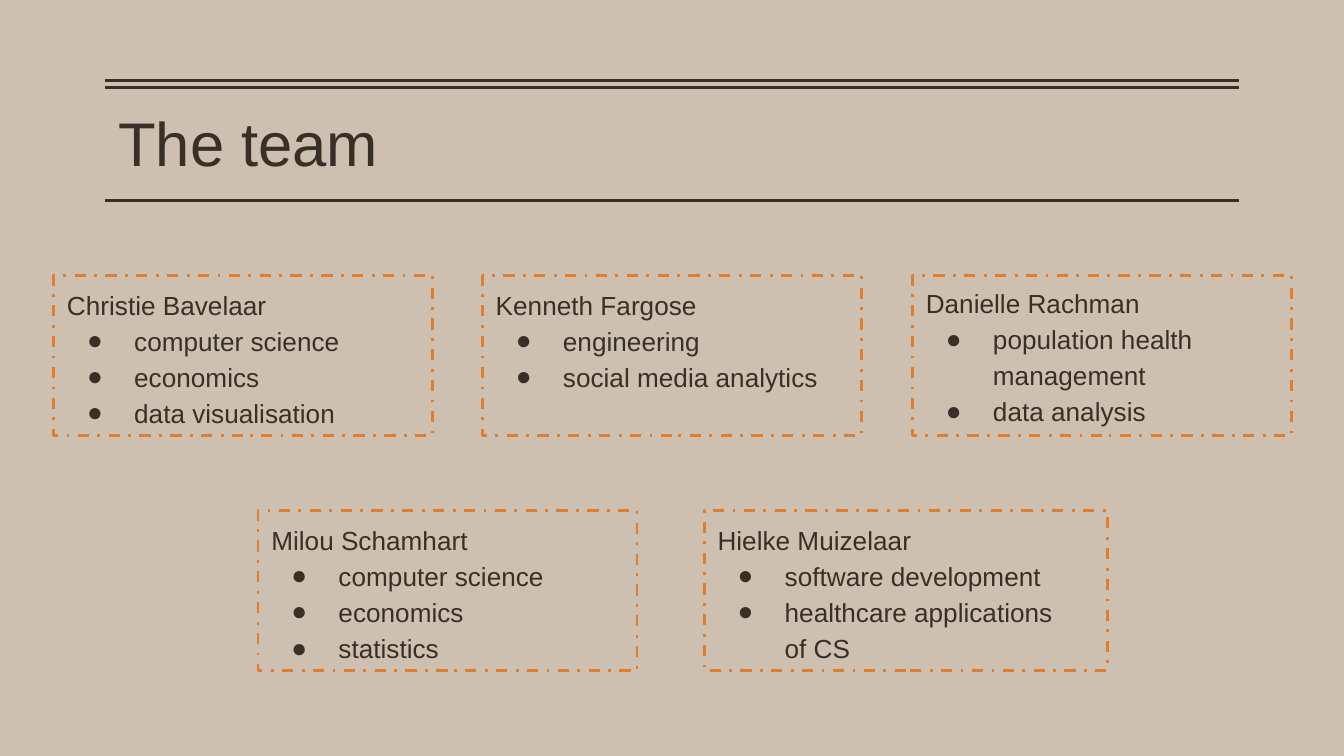
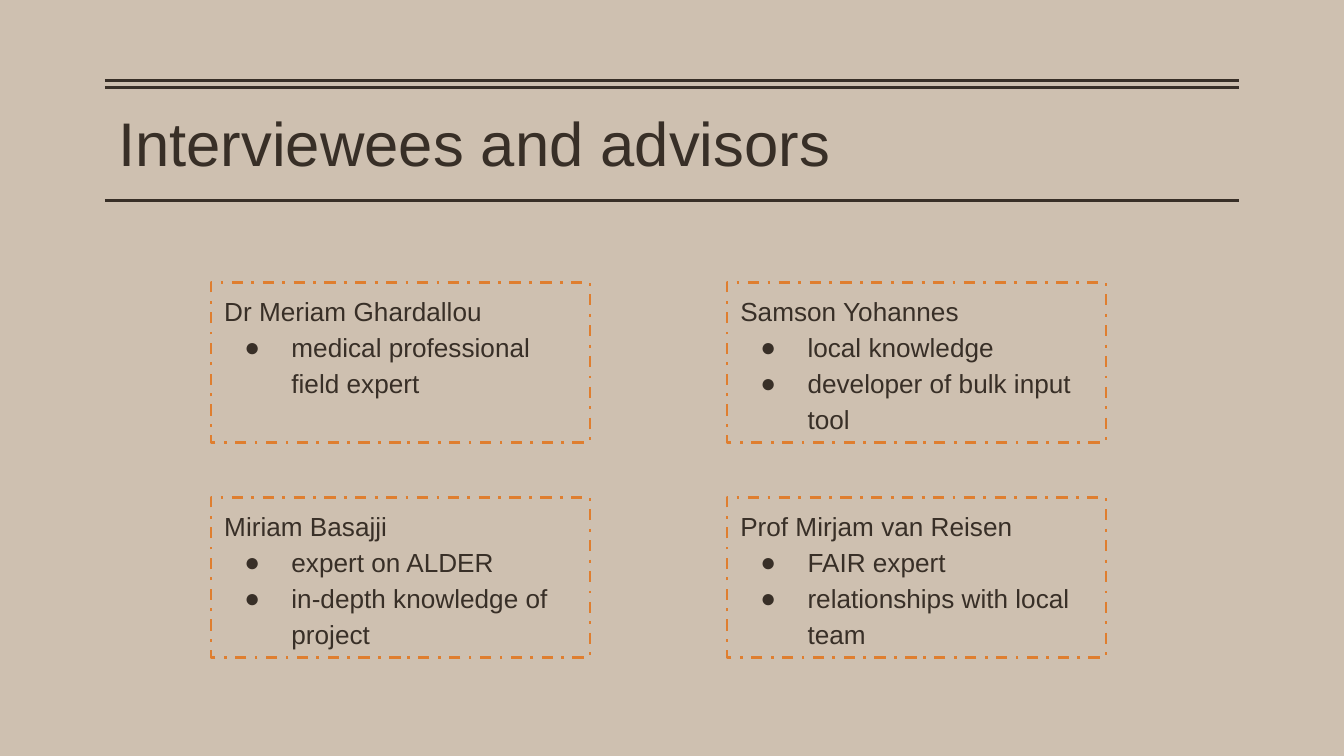
from lxml import etree
from pptx import Presentation
from pptx.dml.color import RGBColor
from pptx.enum.dml import MSO_LINE
from pptx.enum.shapes import MSO_CONNECTOR, MSO_SHAPE
from pptx.enum.text import MSO_ANCHOR, MSO_AUTO_SIZE, PP_ALIGN
from pptx.oxml.ns import qn
from pptx.util import Inches, Pt

STRAIGHT = MSO_CONNECTOR.STRAIGHT
RECTANGLE = MSO_SHAPE.RECTANGLE
DASH_DOT = MSO_LINE.DASH_DOT
TOP = MSO_ANCHOR.TOP
LEFT = PP_ALIGN.LEFT
NO_AUTOFIT = MSO_AUTO_SIZE.NONE

# Content: each row is (top, [(left, name, expertise), ...])
SLIDES = [
    ("The team", [
        (2.05, [
            (0.4, "Christie Bavelaar",
             ["computer science", "economics", "data visualisation"]),
            (3.59, "Kenneth Fargose",
             ["engineering", "social media analytics"]),
            (6.79, "Danielle Rachman",
             ["population health management", "data analysis"]),
        ]),
        (3.8, [
            (1.92, "Milou Schamhart",
             ["computer science", "economics", "statistics"]),
            (5.24, "Hielke Muizelaar",
             ["software development", "healthcare applications of CS"]),
        ]),
    ]),
    ("Interviewees and advisors", [
        (2.1, [
            (1.57, "Dr Meriam Ghardallou",
             ["medical professional field expert"]),
            (5.41, "Samson Yohannes",
             ["local knowledge", "developer of bulk input tool"]),
        ]),
        (3.7, [
            (1.57, "Miriam Basajji",
             ["expert on ALDER", "in-depth knowledge of project"]),
            (5.41, "Prof Mirjam van Reisen",
             ["FAIR expert", "relationships with local team"]),
        ]),
    ]),
]

# Shared style
COLORS = {"background": "CEC0B0", "ink": "382F27", "frame": "DF7E2F"}
FONT = "Arial"
RULE_LEFT, RULE_RIGHT = 0.78, 9.22
RULE_TOPS = (0.6, 0.65, 1.49)
CARD_WIDTH, CARD_HEIGHT = 2.82, 1.19
FRAME_WIDTHS = {"Hielke Muizelaar": 3}
TEXT_WIDTHS = {"Danielle Rachman": 2.7}
TEXT_SHIFTS = {"Danielle Rachman": -0.01}


def color(key):
    return RGBColor.from_string(COLORS[key])


def style_paragraph(paragraph, size):
    paragraph.alignment = LEFT
    paragraph.font.name = FONT
    paragraph.font.size = Pt(size)
    paragraph.font.color.rgb = color("ink")


def style_frame(frame, margin_top):
    frame.word_wrap = True
    frame.auto_size = NO_AUTOFIT
    frame.vertical_anchor = TOP
    frame.margin_left = frame.margin_right = frame.margin_bottom = Inches(0.1)
    frame.margin_top = Inches(margin_top)


def add_bullet(paragraph):
    paragraph.line_spacing = 1.15
    properties = paragraph._p.get_or_add_pPr()
    properties.set("marL", str(Inches(0.5)))
    properties.set("indent", str(Inches(-0.35)))
    bullet_color = etree.SubElement(properties, qn("a:buClr"))
    etree.SubElement(bullet_color, qn("a:srgbClr"), val=COLORS["ink"])
    etree.SubElement(properties, qn("a:buFont"), typeface=FONT)
    etree.SubElement(properties, qn("a:buChar"), char="●")


def add_rules(slide):
    for top in RULE_TOPS:
        rule = slide.shapes.add_connector(
            STRAIGHT, Inches(RULE_LEFT), Inches(top),
            Inches(RULE_RIGHT), Inches(top))
        rule.line.color.rgb = color("ink")
        rule.line.width = Pt(1.5)
        etree.SubElement(rule._element.spPr, qn("a:effectLst"))


def set_title(slide, text):
    title = slide.shapes.title
    title.left, title.top = Inches(RULE_LEFT), Inches(0.78)
    title.width, title.height = Inches(RULE_RIGHT - RULE_LEFT), Inches(0.52)
    title.text_frame.text = text
    style_frame(title.text_frame, 0)
    style_paragraph(title.text_frame.paragraphs[0], 33)


def add_card(slide, left, top, name, expertise):
    # Dashed frame
    outline = slide.shapes.add_shape(
        RECTANGLE, Inches(left), Inches(top),
        Inches(FRAME_WIDTHS.get(name, CARD_WIDTH)), Inches(CARD_HEIGHT))
    outline.shadow.inherit = False
    outline.fill.background()
    outline.line.color.rgb = color("frame")
    outline.line.width = Pt(1.5)
    outline.line.dash_style = DASH_DOT

    # Name and bulleted expertise
    person = slide.shapes.add_textbox(
        Inches(left), Inches(top + TEXT_SHIFTS.get(name, 0)),
        Inches(TEXT_WIDTHS.get(name, CARD_WIDTH)), Inches(CARD_HEIGHT))
    frame = person.text_frame
    style_frame(frame, 0.1)
    frame.text = "\n".join([name, *expertise])
    for paragraph in frame.paragraphs:
        style_paragraph(paragraph, 14)
    for paragraph in frame.paragraphs[1:]:
        add_bullet(paragraph)


def main():
    prs = Presentation()
    prs.slide_width = Inches(10)
    prs.slide_height = prs.slide_width * 9 // 16
    background = prs.slide_master.background.fill
    background.solid()
    background.fore_color.rgb = color("background")
    title_only = prs.slide_layouts[5]

    for heading, rows in SLIDES:
        slide = prs.slides.add_slide(title_only)
        add_rules(slide)
        set_title(slide, heading)
        for top, people in rows:
            for left, name, expertise in people:
                add_card(slide, left, top, name, expertise)

    prs.save("out.pptx")


if __name__ == "__main__":
    main()
